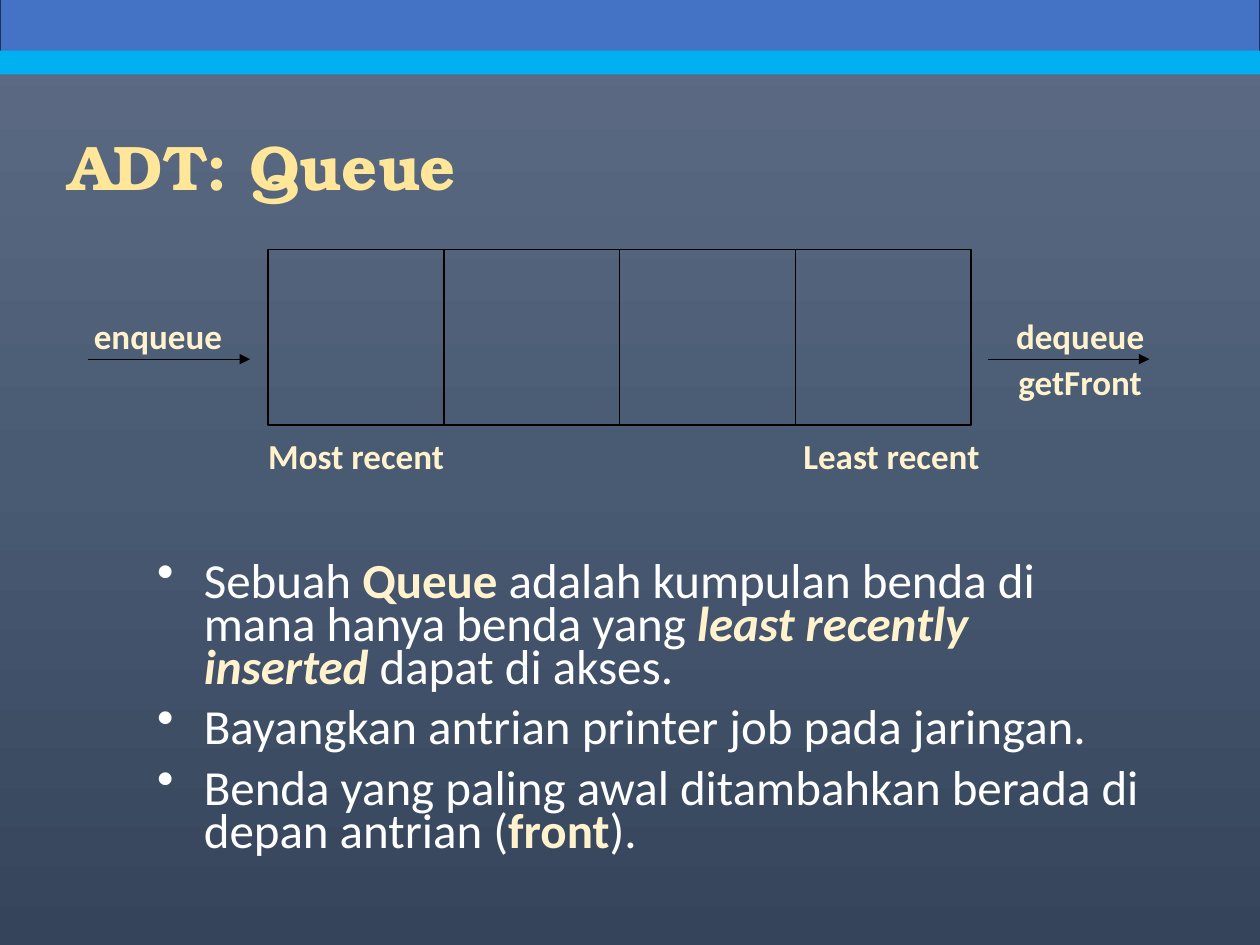
import copy

import pptx
import pptx.dml.color
import pptx.enum.dml
import pptx.enum.shapes
import pptx.enum.text
import pptx.oxml
import pptx.oxml.ns
import pptx.util
from pptx.util import Cm, Pt

COLOURS = {
    "sky": "5E6D85", "mid": "495A73", "deep": "35445A",
    "band": "4472C4", "band_edge": "1E3256", "stripe": "00B0F0",
    "title": "FFE699", "accent": "FFF2CC", "body": "FFFFFF", "ink": "000000",
}
SLIDE_WIDTH, SLIDE_HEIGHT = 25.4, 19.05
CELLS = 4
BULLETS = [
    [("Sebuah ", ""), ("Queue ", "b"),
     ("adalah kumpulan benda di mana hanya benda yang ", ""),
     ("least recently inserted ", "bi"), ("dapat di akses.", "")],
    [("Bayangkan antrian printer job pada jaringan.", "")],
    [("Benda yang paling awal ditambahkan berada di depan antrian (", ""),
     ("front", "b"), (").", "")],
]


def rgb(name):
    return pptx.dml.color.RGBColor.from_string(COLOURS[name])


def style_font(font, size, colour, family="Calibri", bold=False, italic=False):
    font.size = Pt(size)
    font.name = family
    font.bold = bold
    font.italic = italic
    font.color.rgb = rgb(colour)


def add_rectangle(slide, left, top, width, height, fill=None, line=None):
    rectangle = slide.shapes.add_shape(
        pptx.enum.shapes.MSO_SHAPE.RECTANGLE,
        Cm(left), Cm(top), Cm(width), Cm(height))
    rectangle.shadow.inherit = False
    if fill:
        rectangle.fill.solid()
        rectangle.fill.fore_color.rgb = rgb(fill)
    else:
        rectangle.fill.background()
    if line:
        rectangle.line.color.rgb = rgb(line)
        rectangle.line.width = Pt(1)
    else:
        rectangle.line.fill.background()
    return rectangle


def add_line(slide, x1, y1, x2, y2, arrow=False):
    line = slide.shapes.add_connector(
        pptx.enum.shapes.MSO_CONNECTOR.STRAIGHT, Cm(x1), Cm(y1), Cm(x2), Cm(y2))
    line.line.color.rgb = rgb("ink")
    line.line.width = Pt(0.75)
    if arrow:
        tail = pptx.oxml.ns.qn("a:tailEnd")
        line.line._get_or_add_ln().append(
            line._element.makeelement(tail, {"type": "triangle"}))
    properties = line._element.spPr
    properties.append(properties.makeelement(pptx.oxml.ns.qn("a:effectLst"), {}))
    return line


def add_label(slide, text, left, top, width):
    label = slide.shapes.add_textbox(Cm(left), Cm(top), Cm(width), Cm(1.12))
    label.text_frame.word_wrap = True
    paragraph = label.text_frame.paragraphs[0]
    paragraph.text = text
    paragraph.alignment = pptx.enum.text.PP_ALIGN.CENTER
    style_font(paragraph.runs[0].font, 20, "accent", bold=True)


def paint_background(slide):
    fill = slide.background.fill
    fill.gradient()
    fill.gradient_angle = 270
    first = fill.gradient_stops[0]._gs
    middle = copy.deepcopy(first)
    first.addnext(middle)
    stops = zip(fill.gradient_stops, ("sky", "mid", "deep"), (0, 0.5, 1))
    for stop, colour, position in stops:
        stop.color.rgb = rgb(colour)
        stop.position = position


def add_header(slide, left, top, width):
    add_rectangle(slide, left, top, width, 1.22, "band", "band_edge")
    add_rectangle(slide, left, top + 1.12, width, 0.48, "stripe")


def place_title(slide, left, top, width, height):
    title = slide.shapes.title
    title.left, title.top = Cm(left), Cm(top)
    title.width, title.height = Cm(width), Cm(height)
    frame = title.text_frame
    frame.text = "ADT: Queue"
    frame.auto_size = pptx.enum.text.MSO_AUTO_SIZE.NONE
    frame.vertical_anchor = pptx.enum.text.MSO_ANCHOR.MIDDLE
    paragraph = frame.paragraphs[0]
    paragraph.alignment = pptx.enum.text.PP_ALIGN.LEFT
    paragraph.line_spacing = 0.97
    style_font(paragraph.runs[0].font, 36, "title", "TeX Gyre Bonum", bold=True)


def add_queue(slide, left, top):
    """Draw the cells of the queue with the operations at both ends."""
    queue_left, queue_width, queue_height = left + 3.99, 14.17, 3.54
    queue = add_rectangle(slide, queue_left, top, queue_width, queue_height,
                          line="ink")
    for index in range(1, CELLS):
        x = queue_left + queue_width * index / CELLS
        divider = add_line(slide, x, top, x, top + queue_height)
        if index * 2 == CELLS:
            divider.begin_connect(queue, 0)
            divider.end_connect(queue, 2)

    arrow_y = top + 2.21
    for arrow_left in (left + 0.36, left + 18.49):
        add_line(slide, arrow_left, arrow_y, arrow_left + 3.26, arrow_y, arrow=True)

    for text, x, y, width in (
            ("enqueue", 0, 1.19, 3.53),
            ("dequeue", 18.16, 1.19, 4.39),
            ("getFront", 18.16, 2.11, 4.39),
            ("Most recent", 3.36, 3.61, 4.8),
            ("Least recent", 14.15, 3.61, 4.8)):
        add_label(slide, text, left + x, top + y, width)


def add_bullets(slide, left, top, width, height):
    box = slide.shapes.add_textbox(Cm(left), Cm(top), Cm(width), Cm(height))
    frame = box.text_frame
    frame.word_wrap = True
    for index, parts in enumerate(BULLETS):
        paragraph = frame.add_paragraph() if index else frame.paragraphs[0]
        properties = paragraph._p.get_or_add_pPr()
        indent = Cm(0.94)
        properties.set("marL", str(indent))
        properties.set("indent", str(-indent))
        properties.append(properties.makeelement(
            pptx.oxml.ns.qn("a:buChar"), {"char": "•"}))
        paragraph.line_spacing = 0.73
        paragraph.space_before = Pt(10 if index else 0)
        for text, emphasis in parts:
            run = paragraph.add_run()
            run.text = text
            style_font(run.font, 28, "accent" if emphasis else "body",
                       bold="b" in emphasis, italic="i" in emphasis)


def main():
    deck = pptx.Presentation()
    deck.slide_width, deck.slide_height = Cm(SLIDE_WIDTH), Cm(SLIDE_HEIGHT)
    slide = deck.slides.add_slide(deck.slide_layouts[5])
    paint_background(slide)
    add_header(slide, 0, -0.1, SLIDE_WIDTH)
    place_title(slide, 1.12, 2.54, 22.25, 1.7)
    add_bullets(slide, 2.92, 11.25, 20.35, 6.2)
    add_queue(slide, 1.42, 5.03)
    deck.save("out.pptx")


if __name__ == "__main__":
    main()
